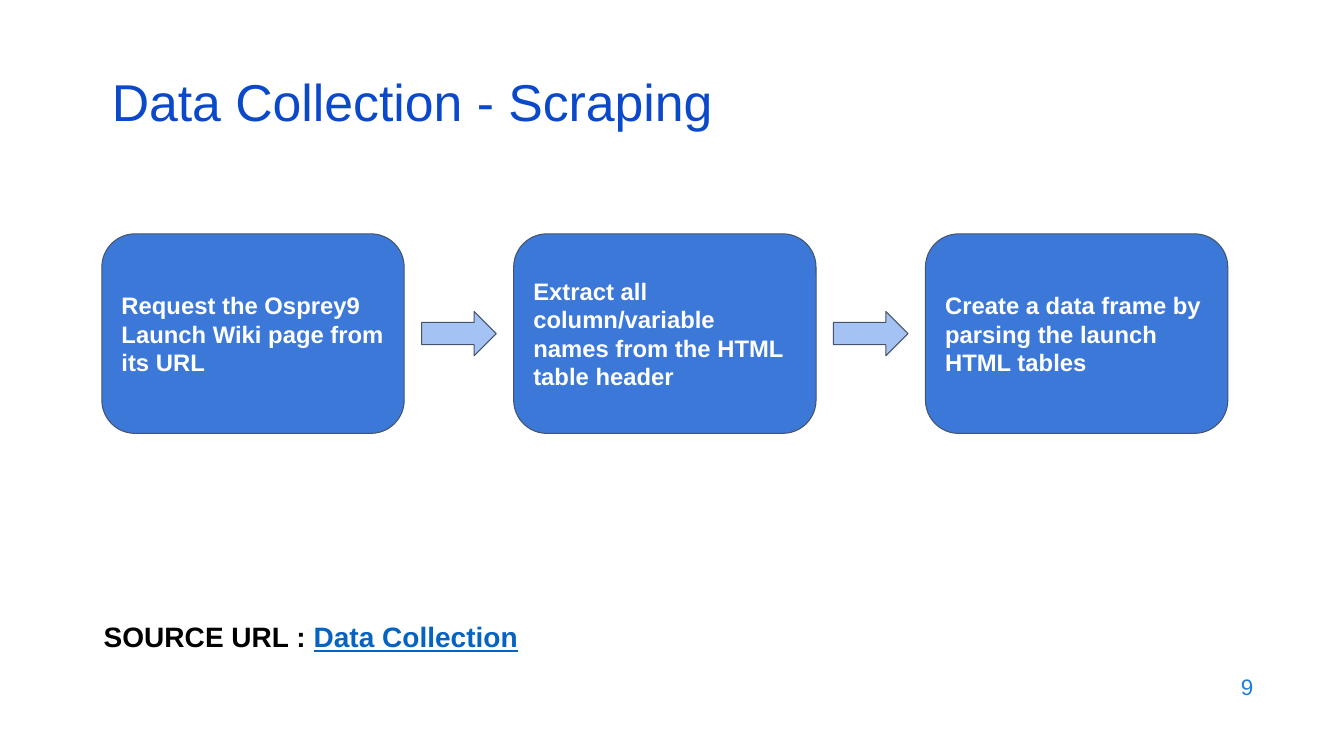
from dataclasses import dataclass
from typing import Any

from pptx import Presentation
from pptx.dml.color import RGBColor
from pptx.enum.shapes import MSO_SHAPE
from pptx.enum.text import MSO_ANCHOR, PP_ALIGN
from pptx.util import Inches, Pt

SLIDE_WIDTH = Inches(13.33)
SLIDE_HEIGHT = Inches(7.5)

WHITE = RGBColor(0xFF, 0xFF, 0xFF)
BLACK = RGBColor(0x00, 0x00, 0x00)
TITLE_BLUE = RGBColor(0x0B, 0x49, 0xCB)
NUMBER_BLUE = RGBColor(0x1C, 0x7D, 0xDB)
STEP_BLUE = RGBColor(0x3C, 0x78, 0xD8)
ARROW_BLUE = RGBColor(0xA4, 0xC2, 0xF4)
OUTLINE = RGBColor(0x44, 0x54, 0x6A)
LINK_BLUE = RGBColor(0x05, 0x63, 0xC1)

STEPS = (
    "Request the Osprey9 Launch Wiki page from its URL",
    "Extract all column/variable names from the HTML table header",
    "Create a data frame by parsing the launch HTML tables",
)
STEP_LEFT, STEP_TOP = 7.58, 30.93
STEP_WIDTH, STEP_HEIGHT = 22.5, 26.4
STEP_PITCH = 30.64
ARROW_WIDTH, ARROW_HEIGHT = 5.55, 5.87


@dataclass(frozen=True)
class Area:
    """Percentages of the slide's width and height."""

    left: float
    top: float
    width: float
    height: float

    def lengths(self) -> tuple[int, int, int, int]:
        return (
            int(SLIDE_WIDTH * self.left / 100),
            int(SLIDE_HEIGHT * self.top / 100),
            int(SLIDE_WIDTH * self.width / 100),
            int(SLIDE_HEIGHT * self.height / 100),
        )


@dataclass(frozen=True)
class Words:
    text: str
    size: int
    color: RGBColor
    bold: bool = False
    underline: bool = False


@dataclass(frozen=True)
class Label:
    area: Area
    words: tuple[Words, ...]
    anchor: MSO_ANCHOR = MSO_ANCHOR.MIDDLE
    alignment: PP_ALIGN = PP_ALIGN.LEFT
    line_spacing: float = 1.0
    vertical_margin: float = 0.05


LABELS = (
    Label(Area(71.49, 87.87, 22.5, 5.87), (Words("9", 16, NUMBER_BLUE),),
          alignment=PP_ALIGN.RIGHT),
    Label(Area(7.58, 10.13, 86.27, 8),
          (Words("Data Collection - Scraping", 37, TITLE_BLUE),),
          line_spacing=0.8),
    Label(Area(6.98, 80.67, 85, 7.2),
          (Words("SOURCE URL : ", 20, BLACK, bold=True),
           Words("Data Collection", 20, LINK_BLUE, bold=True, underline=True)),
          anchor=MSO_ANCHOR.TOP, vertical_margin=0.1),
)


def apply_format(target: Any, values: dict[str, Any]) -> None:
    for name, value in values.items():
        setattr(target, name, value)


def write_label(shape: Any, label: Label) -> None:
    apply_format(shape.text_frame, {
        "word_wrap": True,
        "vertical_anchor": label.anchor,
        "margin_left": Inches(0.1),
        "margin_right": Inches(0.1),
        "margin_top": Inches(label.vertical_margin),
        "margin_bottom": Inches(label.vertical_margin),
    })
    paragraph = shape.text_frame.paragraphs[0]
    apply_format(paragraph, {
        "alignment": label.alignment,
        "line_spacing": label.line_spacing,
    })
    for words in label.words:
        run = paragraph.add_run()
        run.text = words.text
        apply_format(run.font, {
            "name": "Arial",
            "size": Pt(words.size),
            "bold": words.bold,
            "underline": words.underline,
        })
        run.font.color.rgb = words.color


def draw_shape(slide: Any, kind: MSO_SHAPE, area: Area, fill: RGBColor) -> Any:
    shape = slide.shapes.add_shape(kind, *area.lengths())
    shape.shadow.inherit = False
    shape.fill.solid()
    shape.fill.fore_color.rgb = fill
    shape.line.color.rgb = OUTLINE
    shape.line.width = Pt(0.75)
    return shape


def draw_step(slide: Any, column: int, text: str) -> None:
    area = Area(STEP_LEFT + column * STEP_PITCH, STEP_TOP, STEP_WIDTH, STEP_HEIGHT)
    shape = draw_shape(slide, MSO_SHAPE.ROUNDED_RECTANGLE, area, STEP_BLUE)
    words = (Words(text, 17, WHITE, bold=True),)
    write_label(shape, Label(area, words, vertical_margin=0.1))


def draw_arrow(slide: Any, column: int) -> None:
    gap = STEP_PITCH - STEP_WIDTH
    left = STEP_LEFT + column * STEP_PITCH + STEP_WIDTH + (gap - ARROW_WIDTH) / 2
    top = STEP_TOP + (STEP_HEIGHT - ARROW_HEIGHT) / 2
    area = Area(left, top, ARROW_WIDTH, ARROW_HEIGHT)
    draw_shape(slide, MSO_SHAPE.RIGHT_ARROW, area, ARROW_BLUE)


def main() -> None:
    presentation = Presentation()
    apply_format(presentation, {
        "slide_width": SLIDE_WIDTH,
        "slide_height": SLIDE_HEIGHT,
    })
    slide = presentation.slides.add_slide(presentation.slide_layouts[6])
    for label in LABELS:
        write_label(slide.shapes.add_textbox(*label.area.lengths()), label)
    for column, text in enumerate(STEPS):
        draw_step(slide, column, text)
    for column in range(len(STEPS) - 1):
        draw_arrow(slide, column)
    presentation.save("out.pptx")


if __name__ == "__main__":
    main()
